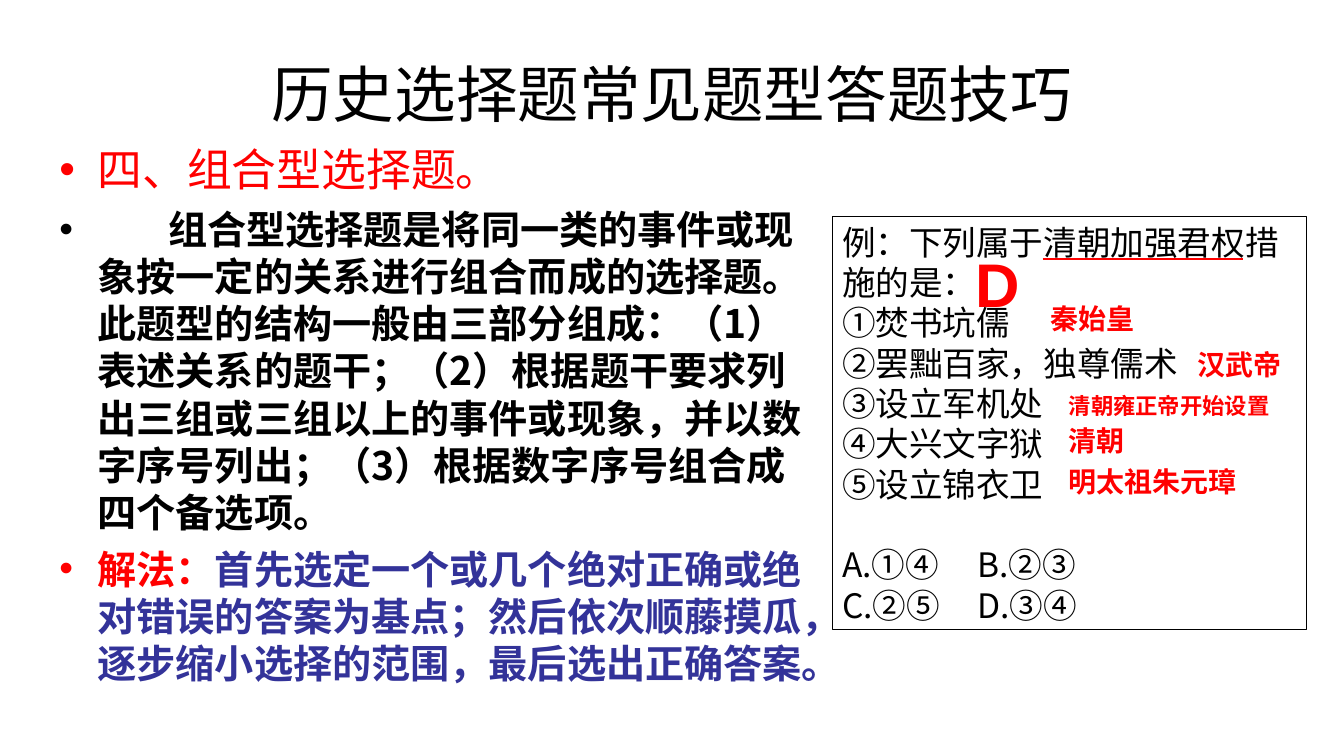
from dataclasses import dataclass

import pptx
import pptx.dml.color
import pptx.enum.shapes
import pptx.enum.text
import pptx.oxml
import pptx.oxml.ns
import pptx.util
from pptx.util import Inches

COLORS = {"black": "000000", "red": "FF0000", "indigo": "333399"}
CJK = "Noto Sans CJK SC"
NAMESPACE = pptx.oxml.ns.nsdecls("a")
HANGING = Inches(0.38)


@dataclass
class Span:
    text: str
    size: float
    color: str = "black"
    bold: bool = False
    font: str = CJK


@dataclass
class Para:
    spans: list[Span]
    before: float = 0
    bullet: str = ""
    tab: float = 0
    centered: bool = False


@dataclass
class Note:
    text: str
    left: float
    top: float
    width: float
    height: float = 0.44
    size: float = 20


def rgb(name: str) -> pptx.dml.color.RGBColor:
    return pptx.dml.color.RGBColor.from_string(COLORS[name])


def add_xml(parent, xml: str) -> None:
    parent.append(pptx.oxml.parse_xml(xml))


def fill_text(frame, paras: list[Para]) -> None:
    frame.word_wrap = True
    for index, item in enumerate(paras):
        para = frame.paragraphs[0] if index == 0 else frame.add_paragraph()
        para.alignment = (pptx.enum.text.PP_ALIGN.CENTER if item.centered
                          else pptx.enum.text.PP_ALIGN.LEFT)
        para.space_before = pptx.util.Pt(item.before)
        properties = para._p.get_or_add_pPr()
        if item.bullet:
            properties.set("marL", str(HANGING))
            properties.set("indent", str(-HANGING))
            add_xml(properties, f'<a:buClr {NAMESPACE}><a:srgbClr val="{COLORS[item.bullet]}"/></a:buClr>')
            add_xml(properties, f'<a:buFont {NAMESPACE} typeface="Arial"/>')
            add_xml(properties, f'<a:buChar {NAMESPACE} char="•"/>')
        if item.tab:
            add_xml(properties, f'<a:tabLst {NAMESPACE}><a:tab pos="{Inches(item.tab)}" algn="l"/></a:tabLst>')
        for part in item.spans:
            span = para.add_run()
            span.text = part.text
            span.font.size = pptx.util.Pt(part.size)
            span.font.bold = part.bold
            span.font.color.rgb = rgb(part.color)
            span.font.name = part.font
            add_xml(span._r.get_or_add_rPr(), f'<a:ea {NAMESPACE} typeface="{CJK}"/>')


def add_text(page, left: float, top: float, width: float, height: float, paras: list[Para]):
    box = page.shapes.add_textbox(Inches(left), Inches(top), Inches(width), Inches(height))
    fill_text(box.text_frame, paras)
    return box


def add_note(page, note: Note, font: str = "Arial") -> None:
    span = Span(note.text, note.size, "red", True, font)
    add_text(page, note.left, note.top, note.width, note.height, [Para([span])])


QUESTION = ["例：下列属于清朝加强君权措施的是：", "①焚书坑儒", "②罢黜百家，独尊儒术",
            "③设立军机处", "④大兴文字狱", "⑤设立锦衣卫"]
OPTIONS = ["A.①④\tB.②③", "C.②⑤\tD.③④"]
BODY = [
    Para([Span("四、组合型选择题。", 32, "red")], bullet="red"),
    Para([Span("\t组合型选择题是将同一类的事件或现象按一定的关系进行组合而成的选择题。"
               "此题型的结构一般由三部分组成：（1）表述关系的题干；（2）根据题干要求列出"
               "三组或三组以上的事件或现象，并以数字序号列出；（3）根据数字序号组合成四个备选项。",
               28, bold=True)], before=7, bullet="black", tab=1.08),
    Para([Span("解法：", 28, "red", True),
          Span("首先选定一个或几个绝对正确或绝对错误的答案为基点；然后依次顺藤摸瓜，"
               "逐步缩小选择的范围，最后选出正确答案。", 28, "indigo", True)],
         before=7, bullet="red"),
]
NOTES = [
    Note("D", 9.58, 2.39, 0.84, 0.84, 44),
    Note("秦始皇", 10.33, 2.94, 1.17),
    Note("汉武帝", 11.79, 3.4, 1.17),
    Note("清朝雍正帝开始设置", 10.51, 3.84, 2.35, 0.37, 16),
    Note("清朝", 10.51, 4.15, 0.99),
    Note("明太祖朱元璋", 10.51, 4.56, 2.16),
]


def main() -> None:
    deck = pptx.Presentation()
    deck.slide_width, deck.slide_height = Inches(13.34), Inches(7.5)
    page = deck.slides.add_slide(deck.slide_layouts[6])

    # Example question with its options set off below
    example = [Para([Span(line, 24)]) for line in QUESTION]
    example += [Para([Span(line, 24)], before=0 if index else 28.8, tab=1.34)
                for index, line in enumerate(OPTIONS)]
    frame_box = add_text(page, 8.26, 2.15, 4.71, 4.1, example)
    frame_box.line.color.rgb = rgb("black")
    frame_box.line.width = pptx.util.Pt(0.75)

    # Title and explanation
    title = add_text(page, 0.67, 0.3, 12, 1.25,
                     [Para([Span("历史选择题常见题型答题技巧", 44)], centered=True)])
    title.text_frame.vertical_anchor = pptx.enum.text.MSO_ANCHOR.MIDDLE
    add_text(page, 0.49, 1.36, 7.64, 5.73, BODY)

    # Underline of the key phrase
    underline = page.shapes.add_connector(pptx.enum.shapes.MSO_CONNECTOR.STRAIGHT,
                                          Inches(10.35), Inches(2.57), Inches(12.34), Inches(2.57))
    underline.line.color.rgb = rgb("red")
    underline.line.width = pptx.util.Pt(2)
    add_xml(underline._element.spPr, f"<a:effectLst {NAMESPACE}/>")

    # Answer and annotations
    for note in NOTES:
        add_note(page, note)

    deck.save("out.pptx")


if __name__ == "__main__":
    main()
